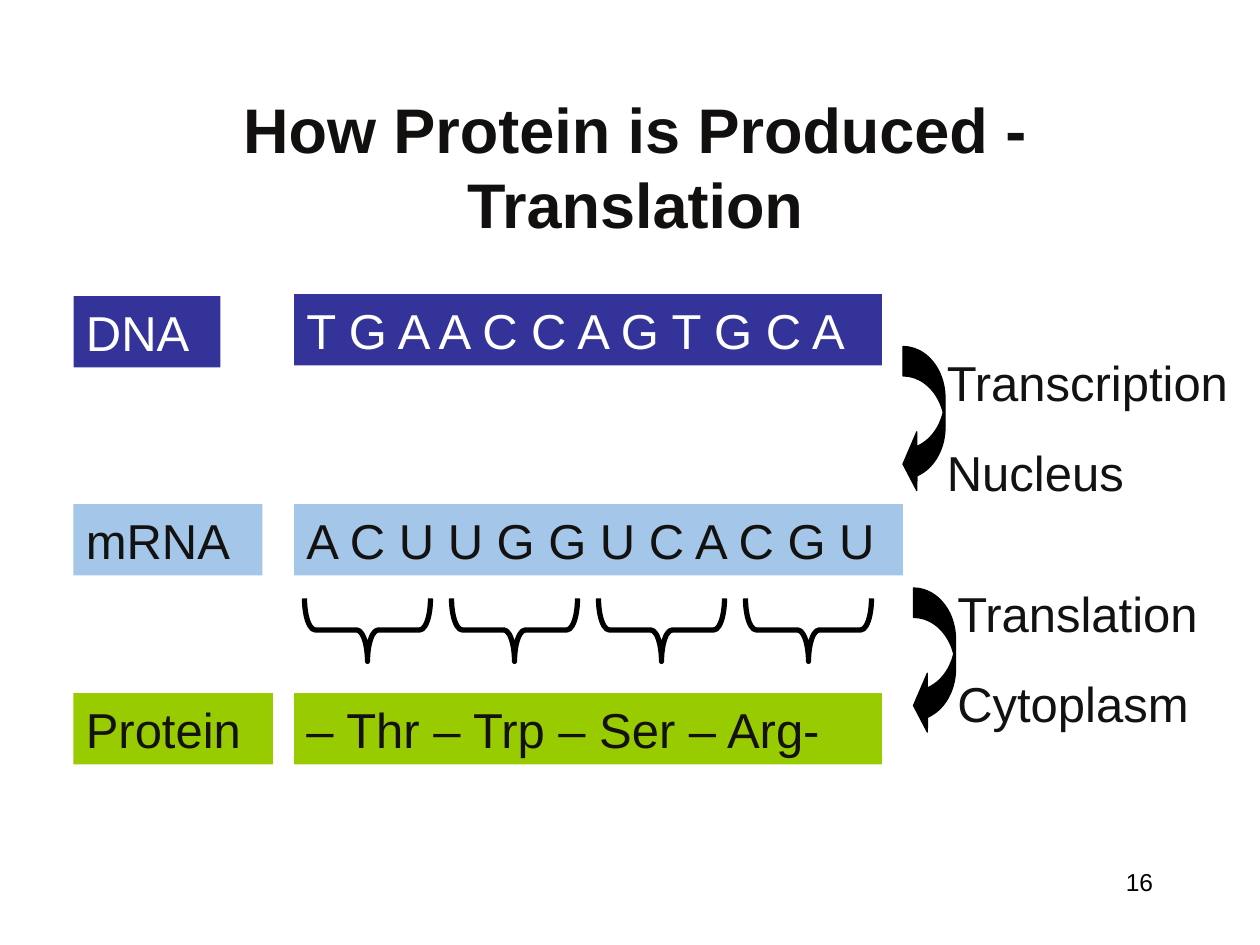
import dataclasses

import pptx
import pptx.dml.color
import pptx.enum.shapes
import pptx.enum.text
import pptx.util

EMU_PER_PX = 7620  # 120 px to the inch
SHAPES = pptx.enum.shapes.MSO_SHAPE
ALIGN = pptx.enum.text.PP_ALIGN


@dataclasses.dataclass(frozen=True)
class Theme:
    font: str = "Arial"
    title_size: int = 36
    body_size: int = 28
    number_size: int = 14
    title_ink: str = "12100E"
    ink: str = "141210"
    black: str = "000000"
    white: str = "FFFFFF"
    dna: str = "333399"
    mrna: str = "A4C6E8"
    protein: str = "99CC00"


THEME = Theme()


def px(length):
    return pptx.util.Emu(length * EMU_PER_PX)


def color(code):
    return pptx.dml.color.RGBColor.from_string(code)


def write(frame, text, *, size=THEME.body_size, ink=THEME.ink, bold=False,
          align=ALIGN.LEFT, gap=0):
    """Write one paragraph per line of text, with gap points between them."""
    frame.word_wrap = True
    frame.vertical_anchor = pptx.enum.text.MSO_ANCHOR.TOP
    for index, line in enumerate(text.split("\n")):
        para = frame.add_paragraph() if index else frame.paragraphs[0]
        para.alignment = align
        para.space_before = pptx.util.Pt(gap if index else 0)
        span = para.add_run()
        span.text = line
        span.font.name = THEME.font
        span.font.size = pptx.util.Pt(size)
        span.font.bold = bold
        span.font.color.rgb = color(ink)


def add_text(page, text, left, top, width, height, **text_format):
    box = page.shapes.add_textbox(px(left), px(top), px(width), px(height))
    write(box.text_frame, text, **text_format)


def add_preset(page, preset, left, top, width, height, *, fill=None,
               line=None, line_width=0.75, adjustments=()):
    shape = page.shapes.add_shape(preset, px(left), px(top), px(width), px(height))
    shape.shadow.inherit = False
    for index, value in enumerate(adjustments):
        shape.adjustments[index] = value
    if fill:
        shape.fill.solid()
        shape.fill.fore_color.rgb = color(fill)
    else:
        shape.fill.background()
    if line:
        shape.line.color.rgb = color(line)
        shape.line.width = pptx.util.Pt(line_width)
    else:
        shape.line.fill.background()
    return shape


def add_band(page, text, left, top, width, fill, ink):
    band = add_preset(page, SHAPES.RECTANGLE, left, top, width, 68, fill=fill)
    write(band.text_frame, text, ink=ink)


def add_step(page, text, text_left, text_top, text_width, arrow_left, arrow_top):
    """Process and its place in the cell, beside a curved arrow."""
    add_text(page, text, text_left, text_top, text_width, 154, gap=17.5)
    add_preset(page, SHAPES.CURVED_LEFT_ARROW, arrow_left, arrow_top, 40, 140,
               fill=THEME.black, line=THEME.black, adjustments=(0.7, 1.4, 0.33))


def add_codon_brace(page, left):
    brace = add_preset(page, SHAPES.RIGHT_BRACE, left, 540, 60, 120,
                       line=THEME.black, line_width=3, adjustments=(0.17, 0.5))
    brace.rotation = 90


def main():
    deck = pptx.Presentation()
    deck.slide_width, deck.slide_height = px(1200), px(900)
    page = deck.slides.add_slide(deck.slide_layouts[6])

    # Title and page number
    add_text(page, "How Protein is Produced - Translation", 60, 80, 1090, 156,
             size=THEME.title_size, ink=THEME.title_ink, bold=True, align=ALIGN.CENTER)
    add_text(page, "16", 860, 820, 250, 60, size=THEME.number_size,
             ink=THEME.black, align=ALIGN.RIGHT)

    # Molecules: name and top, width of name; sequence and top, width of sequence
    molecules = [
        ("DNA", 282, 140, "T G A A C C A G T G C A", 280, 560, THEME.dna, THEME.white),
        ("mRNA", 480, 180, "A C U U G G U C A C G U", 480, 580, THEME.mrna, THEME.ink),
        ("Protein", 660, 190, "– Thr – Trp – Ser – Arg-", 660, 560, THEME.protein, THEME.ink),
    ]
    for name, name_top, name_width, sequence, top, width, fill, ink in molecules:
        add_band(page, name, 70, name_top, name_width, fill, ink)
        add_band(page, sequence, 280, top, width, fill, ink)

    # Steps between the molecules
    add_step(page, "Transcription\nNucleus", 890, 330, 340, 860, 330)
    add_step(page, "Translation\nCytoplasm", 900, 550, 300, 870, 560)

    # One brace per codon
    for codon in range(4):
        add_codon_brace(page, 320 + 140 * codon)

    deck.save("out.pptx")


if __name__ == "__main__":
    main()
